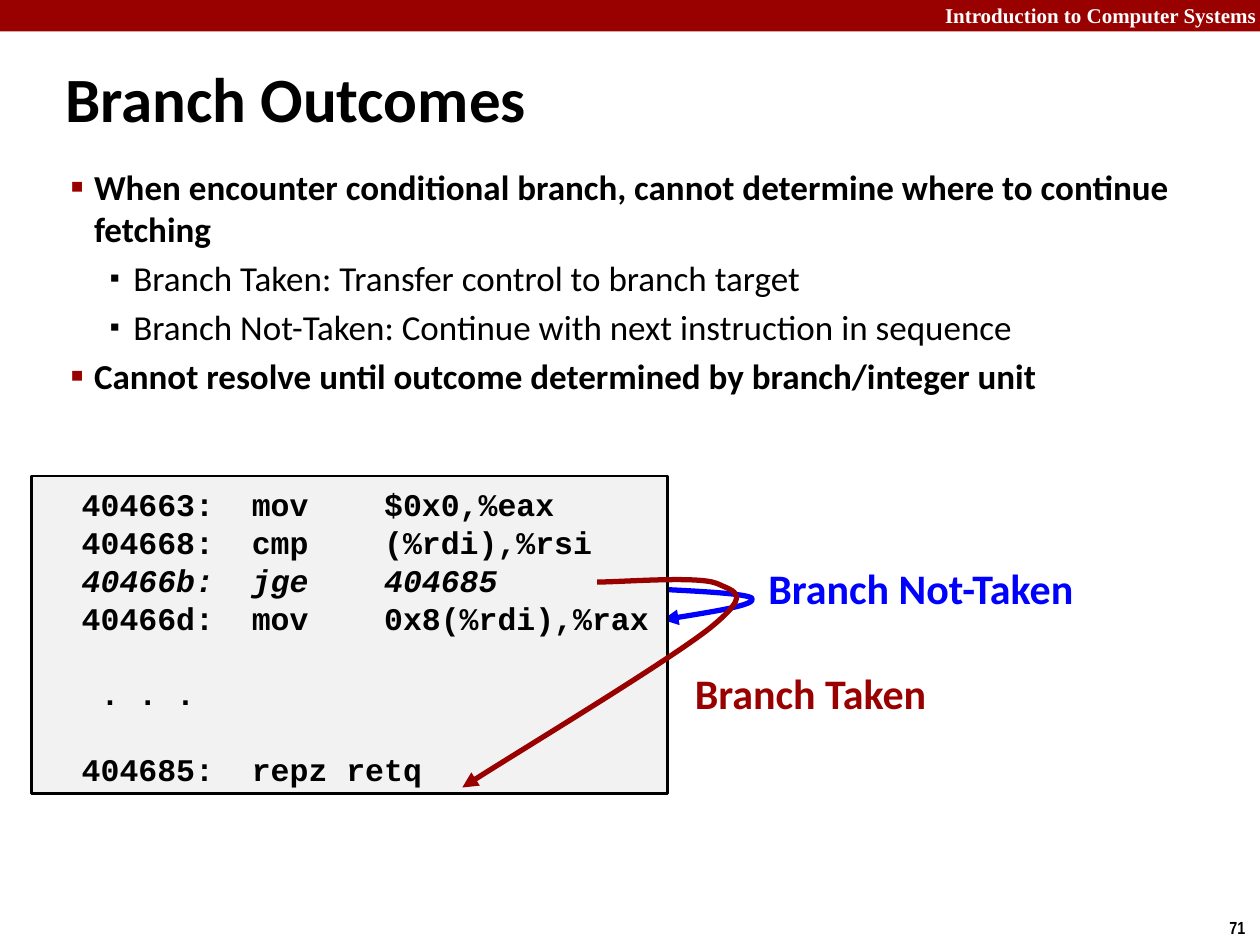
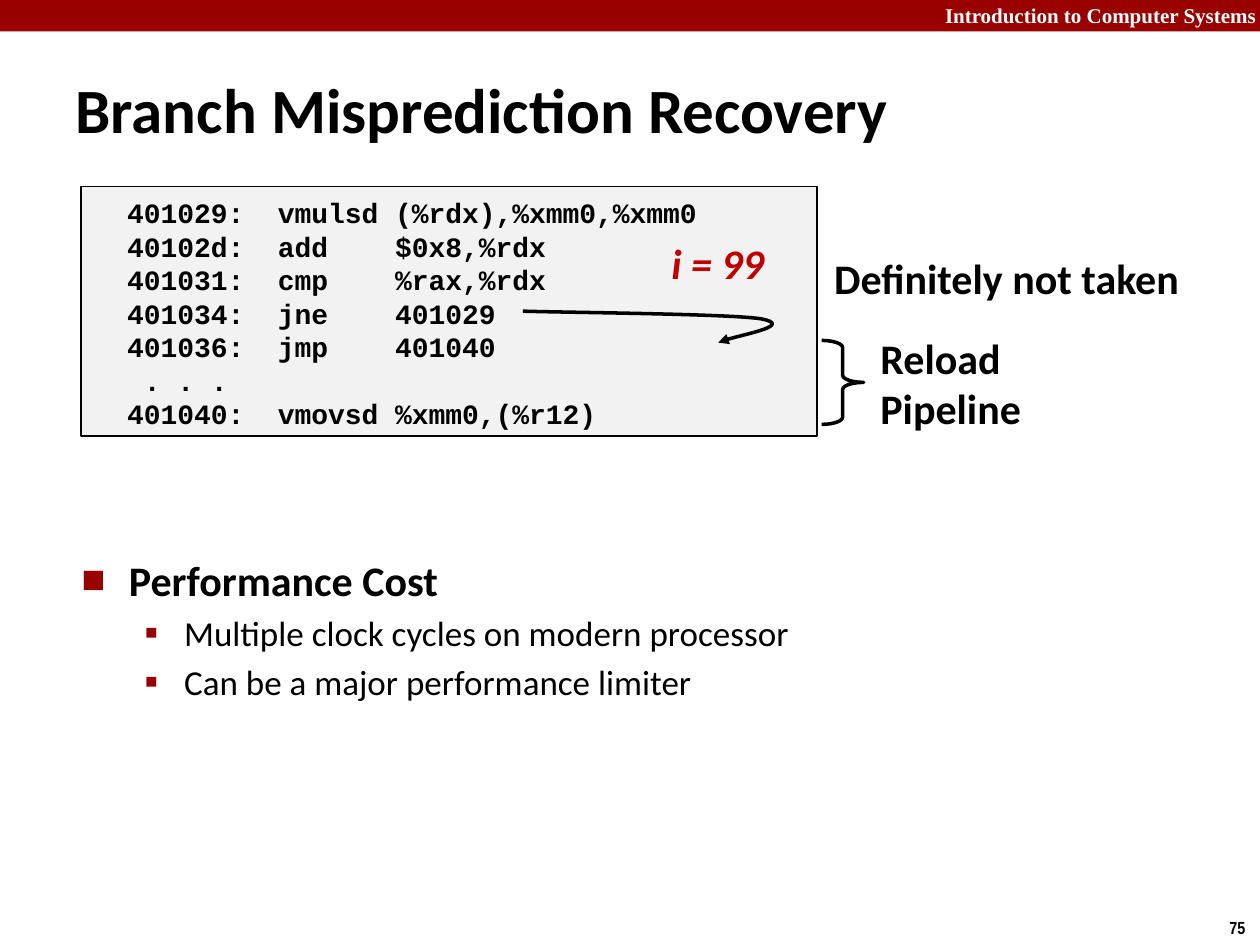
"""Build two slides on branch outcomes and misprediction recovery."""
from dataclasses import dataclass

from lxml import etree
from pptx import Presentation
from pptx.dml.color import RGBColor
from pptx.enum import shapes, text
from pptx.oxml.ns import qn
from pptx.util import Pt


@dataclass(frozen=True)
class Theme:
    """Shared colours, fonts and type sizes."""
    red: str = "990000"
    accent: str = "C00000"
    blue: str = "0000FF"
    black: str = "000000"
    white: str = "FFFFFF"
    panel: str = "F2F2F2"
    sans: str = "Calibri"
    mono: str = "Courier New"
    serif: str = "Times New Roman"
    narrow: str = "Arial Narrow"
    title: int = 36
    large: int = 24
    body: int = 20
    header: int = 12
    number: int = 10


THEME = Theme()
COURSE = "Introduction to Computer Systems"

TOPIC = dict(level=1, margin=22.5, hang=13.5, size=THEME.body, bold=True,
             bullet="▪", bullet_color=THEME.red, bullet_size=110)
DETAIL = dict(level=2, margin=45, hang=13.5, size=THEME.body, bold=False,
              bullet="▪", bullet_color=THEME.black, bullet_size=80)
HEADING = dict(level=0, margin=27, hang=27, size=THEME.large, bold=True,
               bullet="■", bullet_color=THEME.red, bullet_size=60)
COST = dict(level=1, margin=58.5, hang=22.5, size=THEME.body, bold=False,
            bullet="▪", bullet_color=THEME.red, bullet_size=110)

SLIDES = [
    dict(
        number="71", title="Branch Outcomes", title_at=(30, 33, 467, 45.5),
        body_at=(24, 91, 690, 144),
        body=[
            (TOPIC, "When encounter conditional branch, cannot determine where to continue fetching"),
            (DETAIL, "Branch Taken: Transfer control to branch target"),
            (DETAIL, "Branch Not-Taken: Continue with next instruction in sequence"),
            (TOPIC, "Cannot resolve until outcome determined by branch/integer unit"),
        ],
        parts=[
            ("label", dict(at=(390, 378, 148, 36), lines=["Branch Taken"], color=THEME.red)),
            ("curve", dict(color=THEME.blue, width=3, points=[
                (365.8, 336.2), (396.7, 337.7), (427.7, 339.1), (429.8, 342),
                (432, 345.6), (405.4, 349.9), (378.7, 354.2)])),
            ("label", dict(at=(432, 318, 196, 36), lines=["Branch Not-Taken"], color=THEME.blue)),
            ("code", dict(at=(18, 272, 363.5, 181.5), size=18, border=1.5,
                          italic_line=2, gaps_before=(4, 5), lines=[
                              "  404663:  mov    $0x0,%eax",
                              "  404668:  cmp    (%rdi),%rsi",
                              "  40466b:  jge    404685",
                              "  40466d:  mov    0x8(%rdi),%rax",
                              "   . . .",
                              "  404685:  repz retq"])),
            ("curve", dict(color=THEME.red, width=3, points=[
                (341.3, 332.6), (355.7, 332.6), (398.9, 329), (409.7, 333.4),
                (420.5, 338.4), (429.8, 339.1), (406.1, 358.6),
                (381.6, 378), (287.3, 434.9), (264.2, 450)])),
        ],
    ),
    dict(
        number="75", title="Branch Misprediction Recovery", title_at=(36, 39, 595, 45.5),
        body_at=(39.5, 313, 631, 108),
        body=[
            (HEADING, "Performance Cost"),
            (COST, "Multiple clock cycles on modern processor"),
            (COST, "Can be a major performance limiter"),
        ],
        parts=[
            ("code", dict(at=(46.5, 106.5, 420.5, 142.5), size=16, border=1, lines=[
                "  401029:  vmulsd (%rdx),%xmm0,%xmm0",
                "  40102d:  add    $0x8,%rdx",
                "  401031:  cmp    %rax,%rdx",
                "  401034:  jne    401029",
                "  401036:  jmp    401040",
                "   . . .",
                "  401040:  vmovsd %xmm0,(%r12)"])),
            ("curve", dict(color=THEME.black, width=2, points=[
                (298.8, 177.8), (321.8, 178.6), (416.2, 179.3), (434.9, 182.2),
                (453.6, 185.8), (415.4, 193), (410.4, 195.8)])),
            ("label", dict(at=(376.5, 132, 68, 36), lines=["i = 99"],
                           color=THEME.accent, italic=True)),
            ("label", dict(at=(469.5, 141, 214, 36), lines=["Definitely not taken"])),
            ("brace", dict(at=(469.5, 194.5, 24, 48))),
            ("label", dict(at=(496, 186.5, 96, 65.5), lines=["Reload", "Pipeline"])),
        ],
    ),
]


def points(values):
    return [Pt(value) for value in values]


def place(shape, at):
    shape.left, shape.top, shape.width, shape.height = points(at)


def write(para, words, size, font=THEME.sans, color=THEME.black, bold=True, italic=False):
    span = para.add_run()
    span.text = words
    span.font.name, span.font.size = font, Pt(size)
    span.font.bold, span.font.italic = bold, italic
    span.font.color.rgb = RGBColor.from_string(color)


def paragraphs(frame, count):
    return [frame.paragraphs[0]] + [frame.add_paragraph() for _ in range(count - 1)]


def style(shape, fill=None, line=None, width=1):
    shape.shadow.inherit = False
    if fill:
        shape.fill.solid()
        shape.fill.fore_color.rgb = RGBColor.from_string(fill)
    else:
        shape.fill.background()
    if line:
        shape.line.color.rgb = RGBColor.from_string(line)
        shape.line.width = Pt(width)
    else:
        shape.line.fill.background()


def add_label(page, at, lines, color=THEME.black, size=THEME.large, font=THEME.sans,
              italic=False, align=text.PP_ALIGN.LEFT, wrap=False):
    box = page.shapes.add_textbox(*points(at))
    frame = box.text_frame
    frame.word_wrap = wrap
    frame.auto_size = text.MSO_AUTO_SIZE.SHAPE_TO_FIT_TEXT
    for para, words in zip(paragraphs(frame, len(lines)), lines):
        para.alignment = align
        write(para, words, size, font, color, italic=italic)


def add_code(page, at, size, border, lines, italic_line=None, gaps_before=()):
    box = page.shapes.add_shape(shapes.MSO_SHAPE.RECTANGLE, *points(at))
    style(box, THEME.panel, THEME.black, border)
    frame = box.text_frame
    frame.word_wrap = True
    frame.vertical_anchor = text.MSO_ANCHOR.TOP
    frame.margin_top = Pt(5.2)
    frame.margin_bottom = Pt(0)
    pitch = Pt(size * 1.2)
    for index, para in enumerate(paragraphs(frame, len(lines))):
        para.alignment = text.PP_ALIGN.LEFT
        para.line_spacing = pitch
        if index in gaps_before:
            para.space_before = pitch
        write(para, lines[index], size, THEME.mono, italic=index == italic_line)


def add_curve(page, points, color, width):
    vertices = [(Pt(x), Pt(y)) for x, y in points]
    builder = page.shapes.build_freeform(*vertices[0])
    builder.add_line_segments(vertices[1:], close=False)
    arrow = builder.convert_to_shape()
    style(arrow, line=color, width=width)
    outline = arrow.element.spPr.find(qn("a:ln"))
    etree.SubElement(outline, qn("a:round"))
    etree.SubElement(outline, qn("a:tailEnd"), type="triangle")
    route = arrow.element.find(".//" + qn("a:path"))
    segments = route.findall(qn("a:lnTo"))
    for first in range(0, len(segments), 3):
        bend = etree.SubElement(route, qn("a:cubicBezTo"))
        for segment in segments[first:first + 3]:
            bend.append(segment[0])
            route.remove(segment)


def add_brace(page, at):
    brace = page.shapes.add_shape(shapes.MSO_SHAPE.RIGHT_BRACE, *points(at))
    brace.adjustments[0] = 0.17
    style(brace, line=THEME.black, width=2)


def add_bullet(para, look):
    props = para._p.get_or_add_pPr()
    props.set("marL", str(Pt(look["margin"])))
    props.set("indent", str(-Pt(look["hang"])))
    tint = etree.SubElement(props, qn("a:buClr"))
    etree.SubElement(tint, qn("a:srgbClr"), val=look["bullet_color"])
    etree.SubElement(props, qn("a:buSzPct"), val=str(look["bullet_size"] * 1000))
    etree.SubElement(props, qn("a:buFont"), typeface=THEME.sans)
    etree.SubElement(props, qn("a:buChar"), char=look["bullet"])


def fill_title(page, words, at):
    title = page.shapes.title
    place(title, at)
    frame = title.text_frame
    frame.auto_size = text.MSO_AUTO_SIZE.NONE
    frame.vertical_anchor = text.MSO_ANCHOR.MIDDLE
    para = frame.paragraphs[0]
    para.alignment = text.PP_ALIGN.LEFT
    write(para, words, THEME.title)


def fill_body(page, items, at):
    body = page.placeholders[1]
    place(body, at)
    frame = body.text_frame
    frame.auto_size = text.MSO_AUTO_SIZE.NONE
    for index, para in enumerate(paragraphs(frame, len(items))):
        look, words = items[index]
        add_bullet(para, look)
        para.level = look["level"]
        para.space_before = Pt(4 if index else 0)
        write(para, words, look["size"], bold=look["bold"])


def add_frame(page, number):
    band = page.shapes.add_shape(shapes.MSO_SHAPE.RECTANGLE, *points((0, 0, 720, 18)))
    style(band, THEME.red)
    add_label(page, (432, -2, 293, 21.5), [COURSE], THEME.white, THEME.header,
              THEME.serif, align=text.PP_ALIGN.RIGHT, wrap=True)
    add_label(page, (695.5, 520.5, 24.5, 19.5), [number], size=THEME.number, font=THEME.narrow)


def main():
    adders = dict(label=add_label, curve=add_curve, code=add_code, brace=add_brace)
    deck = Presentation()
    deck.slide_width, deck.slide_height = Pt(720), Pt(540)
    for content in SLIDES:
        page = deck.slides.add_slide(deck.slide_layouts[1])
        add_frame(page, content["number"])
        fill_title(page, content["title"], content["title_at"])
        fill_body(page, content["body"], content["body_at"])
        for kind, settings in content["parts"]:
            adders[kind](page, **settings)
    deck.save("out.pptx")


if __name__ == "__main__":
    main()
